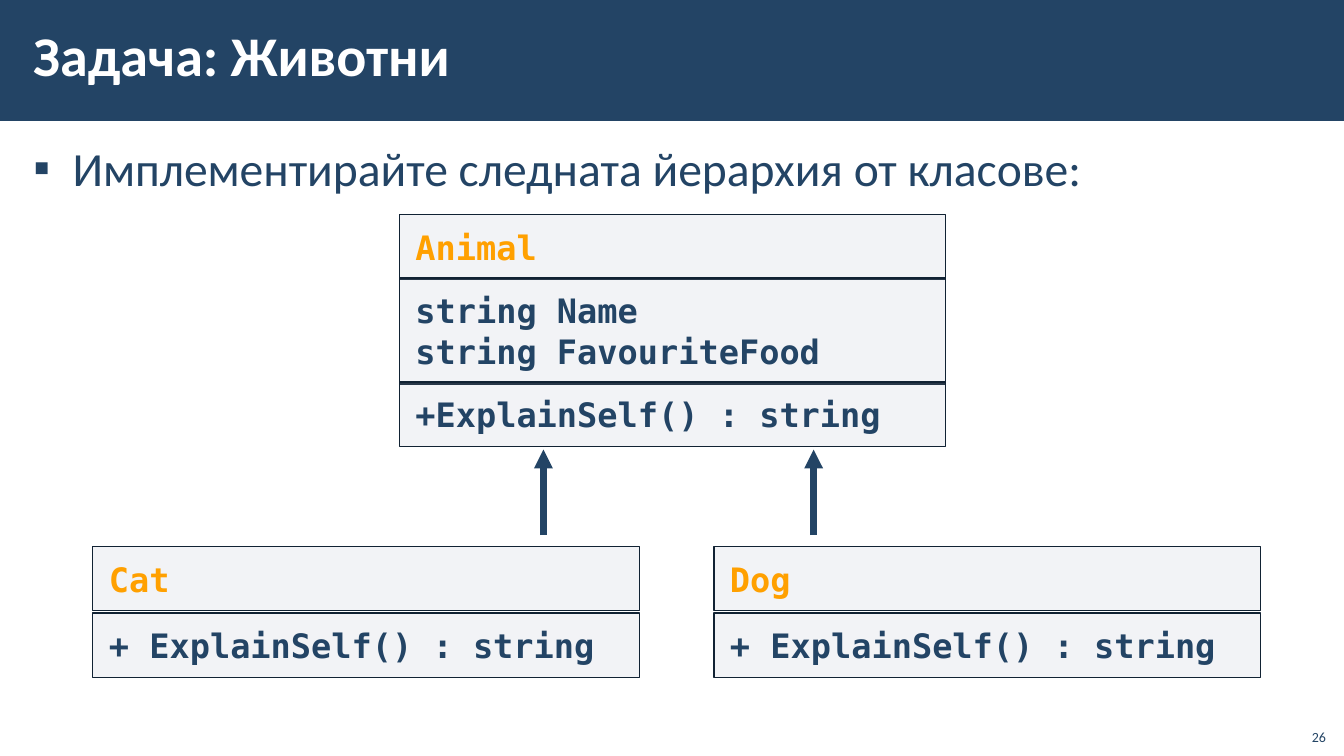
from lxml.etree import SubElement
from pptx import Presentation
from pptx.dml.color import RGBColor
from pptx.enum.shapes import MSO_CONNECTOR as Connector, MSO_SHAPE as Shape
from pptx.enum.text import MSO_ANCHOR as Anchor, PP_ALIGN as Align
from pptx.oxml.ns import qn
from pptx.util import Inches, Pt

COLORS = {
    "navy": "234465",
    "white": "FFFFFF",
    "panel": "ADB4C3",
    "outline": "112233",
    "orange": "FFA000",
}
BODY_FONT = "Calibri"
CODE_FONT = "DejaVu Sans Mono"
CLASS_WIDTH = 5.42
ROW_HEIGHT = 0.64


def color(name):
    """Return the named colour."""
    return RGBColor.from_string(COLORS[name])


def set_frame(shape, margins, anchor=Anchor.TOP):
    """Set wrapping, margins (side, top) and anchor of a shape's text."""
    frame = shape.text_frame
    frame.word_wrap = True
    frame.vertical_anchor = anchor
    side, top = margins
    frame.margin_left = frame.margin_right = Inches(side)
    frame.margin_top = frame.margin_bottom = Inches(top)
    return frame


def add_span(para, text, size, font, tint, bold=False):
    """Add one formatted run to a paragraph."""
    span = para.add_run()
    span.text = text
    span.font.size = Pt(size)
    span.font.name = font
    span.font.bold = bold
    span.font.color.rgb = color(tint)


def add_label(page, area, text, size, tint, margins=(0.12, 0.04), anchor=Anchor.TOP, bold=False):
    """Add a one-paragraph text box and return its paragraph."""
    box = page.shapes.add_textbox(*map(Inches, area))
    para = set_frame(box, margins, anchor).paragraphs[0]
    add_span(para, text, size, BODY_FONT, tint, bold)
    return para


def add_bullet(para, symbol, indent):
    """Give a paragraph a bullet with a hanging indent."""
    props = para._p.get_or_add_pPr()
    props.set("marL", str(Inches(indent)))
    props.set("indent", str(-Inches(indent)))
    SubElement(props, qn("a:buFont"), typeface="Arial")
    SubElement(props, qn("a:buChar"), char=symbol)


def add_rectangle(page, area, fill):
    """Add a plain rectangle without outline or shadow."""
    box = page.shapes.add_shape(Shape.RECTANGLE, *map(Inches, area))
    box.shadow.inherit = False
    box.fill.solid()
    box.fill.fore_color.rgb = color(fill)
    box.line.fill.background()
    return box


def add_compartment(page, area, lines, tint):
    """Add one outlined compartment of a class diagram."""
    box = add_rectangle(page, area, "panel")
    fill_color = box._element.spPr.find(qn("a:solidFill"))[0]
    SubElement(fill_color, qn("a:alpha"), val="15000")
    box.line.color.rgb = color("outline")
    box.line.width = Pt(1)
    frame = set_frame(box, (0.16, 0.12))
    for index, line in enumerate(lines):
        para = frame.add_paragraph() if index else frame.paragraphs[0]
        para.alignment = Align.LEFT
        add_span(para, line, 24, CODE_FONT, tint, bold=True)


def add_class(page, left, name, compartments):
    """Add a class from (top, height, lines) compartments, the name first."""
    top, *members = compartments
    add_compartment(page, (left, top, CLASS_WIDTH, ROW_HEIGHT), [name], "orange")
    for member_top, height, lines in members:
        add_compartment(page, (left, member_top, CLASS_WIDTH, height), lines, "navy")


def add_arrow(page, x, start, end):
    """Add a thick vertical arrow."""
    arrow = page.shapes.add_connector(
        Connector.STRAIGHT, Inches(x), Inches(start), Inches(x), Inches(end))
    arrow.line.color.rgb = color("navy")
    arrow.line.width = Pt(4.5)
    SubElement(arrow.line._get_or_add_ln(), qn("a:tailEnd"), type="triangle")
    SubElement(arrow._element.spPr, qn("a:effectLst"))


def main():
    """Build the class hierarchy slide."""
    deck = Presentation()
    deck.slide_width, deck.slide_height = Inches(13.33), Inches(7.5)
    page = deck.slides.add_slide(deck.slide_layouts[6])

    add_rectangle(page, (0, 0, 13.33, 1.2), "navy")
    task = add_label(page, (0.21, 1.31, 12.92, 6.05),
                     "Имплементирайте следната йерархия от класове:", 34, "navy")
    task.line_spacing = 1.05
    task.space_after = Pt(6)
    add_bullet(task, "▪", 0.39)
    title = add_label(page, (0.21, 0.11, 10.63, 0.97), "Задача: Животни", 40, "white",
                      anchor=Anchor.MIDDLE, bold=True)
    title.line_spacing = Pt(40)

    add_class(page, 3.96, "Animal", [
        2.13,
        (2.76, 1.05, ["string Name", "string FavouriteFood"]),
        (3.79, ROW_HEIGHT, ["+ExplainSelf() : string"]),
    ])
    for name, left, arrow_x in [("Cat", 0.92, 5.39), ("Dog", 7.08, 8.07)]:
        add_class(page, left, name, [5.42, (6.08, ROW_HEIGHT, ["+ ExplainSelf() : string"])])
        add_arrow(page, arrow_x, 5.31, 4.46)

    number = add_label(page, (12.85, 7.12, 0.4, 0.32), "26", 10, "navy",
                       margins=(0.1, 0.05), anchor=Anchor.BOTTOM)
    number.alignment = Align.RIGHT
    deck.save("out.pptx")


if __name__ == "__main__":
    main()
